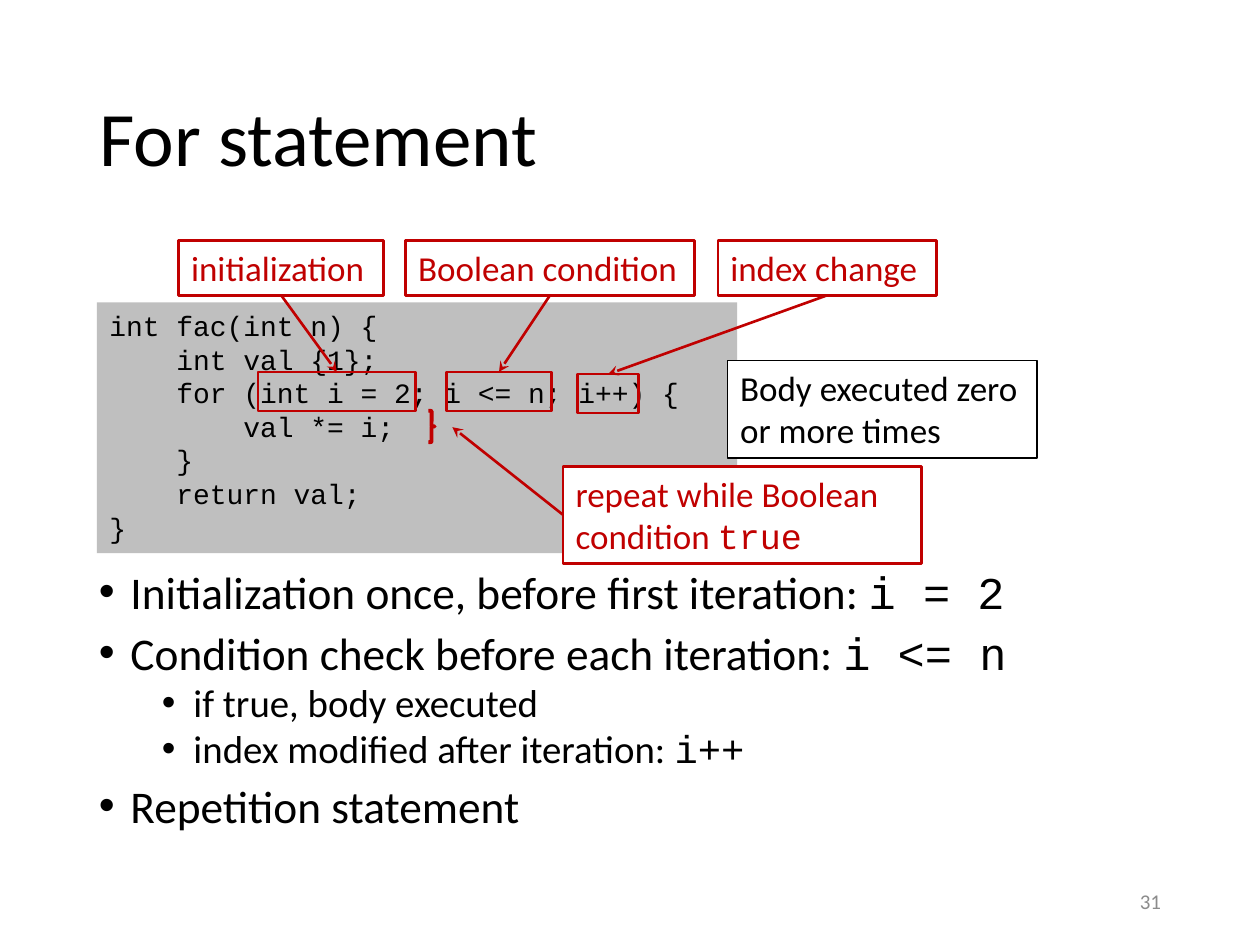
import pptx
import pptx.dml.color
import pptx.enum.shapes
import pptx.enum.text
import pptx.oxml
import pptx.oxml.ns
import pptx.util

Pt = pptx.util.Pt
SHAPE = pptx.enum.shapes.MSO_SHAPE
ALIGN = pptx.enum.text.PP_ALIGN
ANCHOR = pptx.enum.text.MSO_ANCHOR
SANS, MONO = "Calibri", "Courier New"
RED, BLACK, WHITE, GREY, PALE = "C00000", "000000", "FFFFFF", "8C8C8C", "BFBFBF"
TOP, LEFT, BOTTOM = 0, 1, 2

CODE = """int fac(int n) {
    int val {1};
    for (int i = 2; i <= n; i++) {
        val *= i;
    }
    return val;
}"""

# Label text, label box, box around the code it explains
CALLOUTS = [
    ("Boolean condition", (231.8, 137.3, 165, 31.5), (255, 212.5, 60.3, 22.3)),
    ("initialization", (102.1, 137.3, 117.2, 31.5), (147.5, 212.5, 90, 22.3)),
    ("index change", (410.2, 137.3, 124.8, 31.5), (330, 213.8, 35, 22.3)),
]

# Level, plain text, code text
BULLETS = [
    (0, "Initialization once, before first iteration: ", "i = 2"),
    (0, "Condition check before each iteration: ", "i <= n"),
    (1, "if true, body executed", ""),
    (1, "index modified after iteration: ", "i++"),
    (0, "Repetition statement", ""),
]

# Font size, space before, left indent of each bullet level
LEVELS = [(25.9, 10, 18), (22.2, 5, 54)]


def color(value):
    return pptx.dml.color.RGBColor.from_string(value)


def set_values(target, values):
    for name, value in values.items():
        setattr(target, name, value)


def points(box):
    return [Pt(length) for length in box]


def add_run(paragraph, text, size, font=SANS, ink=BLACK):
    run = paragraph.add_run()
    run.text = text
    set_values(run.font, {"name": font, "size": Pt(size)})
    run.font.color.rgb = color(ink)


def add_outline(slide, box, preset=SHAPE.RECTANGLE, fill=None, line=RED, width=1.5):
    """Add a flat shape; a fill or line of None is left out."""
    shape = slide.shapes.add_shape(preset, *points(box))
    shape.shadow.inherit = False
    if fill:
        shape.fill.solid()
        shape.fill.fore_color.rgb = color(fill)
    else:
        shape.fill.background()
    if line:
        shape.line.color.rgb = color(line)
        shape.line.width = Pt(width)
    else:
        shape.line.fill.background()
    return shape


def add_label(slide, box, runs, size=20, ink=RED, **outline):
    """Add a filled box of text; runs holds (text, font) pairs."""
    shape = add_outline(slide, box, **{"fill": WHITE, "line": ink, **outline})
    set_values(shape.text_frame, {"word_wrap": True, "vertical_anchor": ANCHOR.TOP})
    paragraph = shape.text_frame.paragraphs[0]
    paragraph.alignment = ALIGN.LEFT
    for text, font in runs:
        add_run(paragraph, text, size, font, ink)
    return shape


def add_arrow(slide, source, site, end=(0, 0), target=None):
    """Draw an arrow from a side of source to a point or to the top of target."""
    arrow = slide.shapes.add_connector(
        pptx.enum.shapes.MSO_CONNECTOR.STRAIGHT, 0, 0, *points(end))
    arrow.begin_connect(source, site)
    if target:
        arrow.end_connect(target, TOP)
    arrow.line.color.rgb = color(RED)
    arrow.line.width = Pt(1.5)
    head = pptx.oxml.parse_xml(
        f'<a:tailEnd {pptx.oxml.ns.nsdecls("a")} type="stealth"/>')
    arrow.line._get_or_add_ln().append(head)
    arrow._element.spPr.append(
        pptx.oxml.parse_xml(f'<a:effectLst {pptx.oxml.ns.nsdecls("a")}/>'))


def add_title(slide, box, text):
    title = slide.shapes.title
    set_values(title, dict(zip(("left", "top", "width", "height"), points(box))))
    title.text_frame.vertical_anchor = ANCHOR.MIDDLE
    paragraph = title.text_frame.paragraphs[0]
    set_values(paragraph, {"alignment": ALIGN.LEFT, "line_spacing": 0.9})
    add_run(paragraph, text, 44)


def add_code(slide, box):
    panel = add_outline(slide, box, fill=PALE, line=None)
    frame = panel.text_frame
    set_values(frame, {"word_wrap": True, "vertical_anchor": ANCHOR.TOP})
    for index, line in enumerate(CODE.splitlines()):
        paragraph = frame.add_paragraph() if index else frame.paragraphs[0]
        paragraph.alignment = ALIGN.LEFT
        add_run(paragraph, line, 16, MONO)


def add_callouts(slide):
    for text, label_box, code_box in CALLOUTS:
        label = add_label(slide, label_box, [(text, SANS)])
        frame = add_outline(slide, code_box)
        add_arrow(slide, label, BOTTOM, target=frame)


def add_body_notes(slide):
    """Explain the loop body with a brace and two boxes."""
    add_outline(slide, (244.8, 234.7, 3.6, 18), SHAPE.RIGHT_BRACE, width=2.25)
    repeat = add_label(slide, (321.8, 266.4, 204.7, 55.7),
                       [("repeat while Boolean condition ", SANS), ("true", MONO)])
    add_arrow(slide, repeat, LEFT, end=(258.5, 244.1))
    add_label(slide, (415.8, 206, 176.8, 55.7),
              [("Body executed zero or more times", SANS)], ink=BLACK, width=0.75)


def add_bullets(slide, box):
    frame = slide.shapes.add_textbox(*points(box)).text_frame
    frame.word_wrap = True
    for index, (level, text, code) in enumerate(BULLETS):
        size, space, indent = LEVELS[level]
        paragraph = frame.add_paragraph() if index else frame.paragraphs[0]
        set_values(paragraph, {"level": level, "line_spacing": 0.8,
                               "space_before": Pt(space if index else 0)})
        properties = paragraph._p.get_or_add_pPr()
        properties.set("marL", str(Pt(indent)))
        properties.set("indent", str(Pt(-18)))
        for tag in ('buFont {} typeface="Arial"', 'buChar {} char="•"'):
            properties.append(pptx.oxml.parse_xml(
                f'<a:{tag.format(pptx.oxml.ns.nsdecls("a"))}/>'))
        add_run(paragraph, text, size)
        if code:
            add_run(paragraph, code, size, MONO)


def add_page_number(slide, box, number):
    frame = slide.shapes.add_textbox(*points(box)).text_frame
    set_values(frame, {"word_wrap": True, "vertical_anchor": ANCHOR.MIDDLE})
    paragraph = frame.paragraphs[0]
    paragraph.alignment = ALIGN.RIGHT
    add_run(paragraph, number, 12, ink=GREY)


def main():
    presentation = pptx.Presentation()
    set_values(presentation, {"slide_width": Pt(720), "slide_height": Pt(540)})
    slide = presentation.slides.add_slide(presentation.slide_layouts[5])
    add_title(slide, (49.5, 28.8, 621, 104.4), "For statement")
    add_bullets(slide, (49.5, 324.7, 621, 162))
    add_page_number(slide, (508.5, 500.5, 162, 28.8), "31")
    add_code(slide, (55.4, 172.8, 365.8, 143.3))
    add_callouts(slide)
    add_body_notes(slide)
    presentation.save("out.pptx")


if __name__ == "__main__":
    main()
